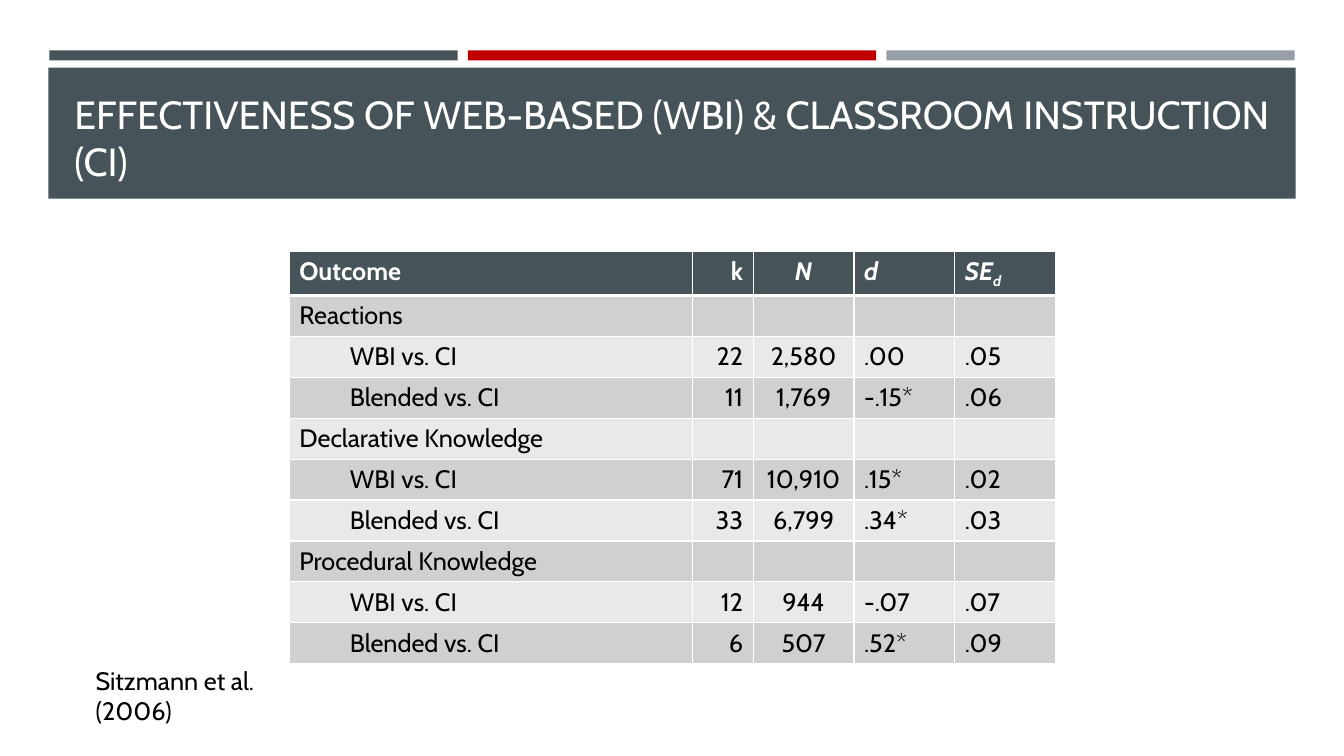
from lxml import etree
from pptx import Presentation, util as u
from pptx.dml.color import RGBColor
from pptx.enum import shapes, text
from pptx.oxml.ns import qn

HUES = {"slate": "465359", "red": "C00000", "gray": "969FA7", "dark": "CFD1D1",
        "light": "E9E9EA", "white": "FFFFFF", "black": "000000"}
SIDES = {"L": "left", "R": "right", "T": "top", "B": "bottom"}
ALIGN = [text.PP_ALIGN.LEFT, text.PP_ALIGN.RIGHT, text.PP_ALIGN.CENTER,
         text.PP_ALIGN.LEFT, text.PP_ALIGN.LEFT]
HEAD = ["Outcome", "k", "N", "d", "SE"]
GROUPS = {
    "Reactions": [["22", "2,580", ".00", ".05"], ["11", "1,769", "-.15*", ".06"]],
    "Declarative Knowledge": [["71", "10,910", ".15*", ".02"], ["33", "6,799", ".34*", ".03"]],
    "Procedural Knowledge": [["12", "944", "-.07", ".07"], ["6", "507", ".52*", ".09"]],
}
KINDS = ["WBI vs. CI", "Blended vs. CI"]


def px(n):
    return u.Emu(n * 9144)


def hue(name):
    return RGBColor.from_string(HUES[name])


class Deck:
    """Holds the house style and the slide being drawn."""

    def __init__(self, font):
        self.font = font
        self.prs = Presentation()
        self.prs.slide_width, self.prs.slide_height = px(1333), px(750)
        self.slide = self.prs.slides.add_slide(self.prs.slide_layouts[6])

    def bar(self, x, y, w, h, color):
        box = self.slide.shapes.add_shape(shapes.MSO_SHAPE.RECTANGLE, *map(px, (x, y, w, h)))
        box.shadow.inherit = False
        box.fill.solid()
        box.fill.fore_color.rgb = hue(color)
        box.line.fill.background()

    def run(self, par, words, color, **form):
        run = par.add_run()
        run.text = words
        for key, val in {"name": self.font, "size": u.Pt(18), **form}.items():
            setattr(run.font, key, val)
        run.font.color.rgb = hue(color)
        return run

    def label(self, x, y, w, h, words, color, size, anchor):
        box = self.slide.shapes.add_textbox(*map(px, (x, y, w, h)))
        frame = box.text_frame
        for key, val in {"word_wrap": True, "vertical_anchor": anchor}.items():
            setattr(frame, key, val)
        self.run(frame.paragraphs[0], words, color, size=u.Pt(size))

    def edge(self, cell, side, width):
        line = etree.SubElement(cell._tc.get_or_add_tcPr(), qn("a:ln" + side), w=str(u.Pt(width)))
        fill = etree.SubElement(line, qn("a:solidFill"))
        etree.SubElement(fill, qn("a:srgbClr"), val=HUES["white"])

    def cell(self, cell, row, fill):
        for side in SIDES:
            thick = (row, side) in [(0, "B"), (1, "T")]
            self.edge(cell, side, 3 if thick else 1)
        cell.fill.solid()
        cell.fill.fore_color.rgb = hue(fill)

    def table(self, x, y, w, h, cols, rows):
        grid = self.slide.shapes.add_table(len(rows), len(cols), *map(px, (x, y, w, h))).table
        grid.first_row = grid.horz_banding = False
        for col, wide in zip(grid.columns, cols):
            col.width = px(wide)
        for r, row in enumerate(rows):
            fill = "slate" if r == 0 else ("light", "dark")[r % 2]
            for c, words in enumerate(row):
                cell = grid.cell(r, c)
                self.cell(cell, r, fill)
                par = cell.text_frame.paragraphs[0]
                par.alignment = ALIGN[c]
                if words in KINDS:
                    par._p.get_or_add_pPr().set("marL", str(px(50)))
                if words and r:
                    self.run(par, words, "black")
                elif words:
                    self.run(par, words, "white", bold=True, italic=c > 1)
        return grid


def main():
    deck = Deck("Cabin")
    for i, color in enumerate(["slate", "red", "gray"]):
        deck.bar(49 + 415 * i, 50, 405, 10, color)
    deck.bar(48, 67, 1237, 130, "slate")
    deck.label(64, 77, 1206, 111,
               "EFFECTIVENESS OF WEB-BASED (WBI) & CLASSROOM INSTRUCTION (CI)",
               "white", 28, text.MSO_ANCHOR.BOTTOM)
    rows = [HEAD]
    for name, pair in GROUPS.items():
        rows.append([name] + [""] * 4)
        rows += [[kind] + vals for kind, vals in zip(KINDS, pair)]
    grid = deck.table(287, 249, 760, 406, [400, 60, 100, 100, 100], rows)
    par = grid.cell(0, 4).text_frame.paragraphs[0]
    sub = deck.run(par, "d", "white", bold=True, italic=True)
    sub.font._element.set("baseline", "-25000")
    deck.label(85, 655, 250, 40, "Sitzmann et al. (2006)", "black", 18, text.MSO_ANCHOR.TOP)
    deck.prs.save("out.pptx")


if __name__ == "__main__":
    main()
